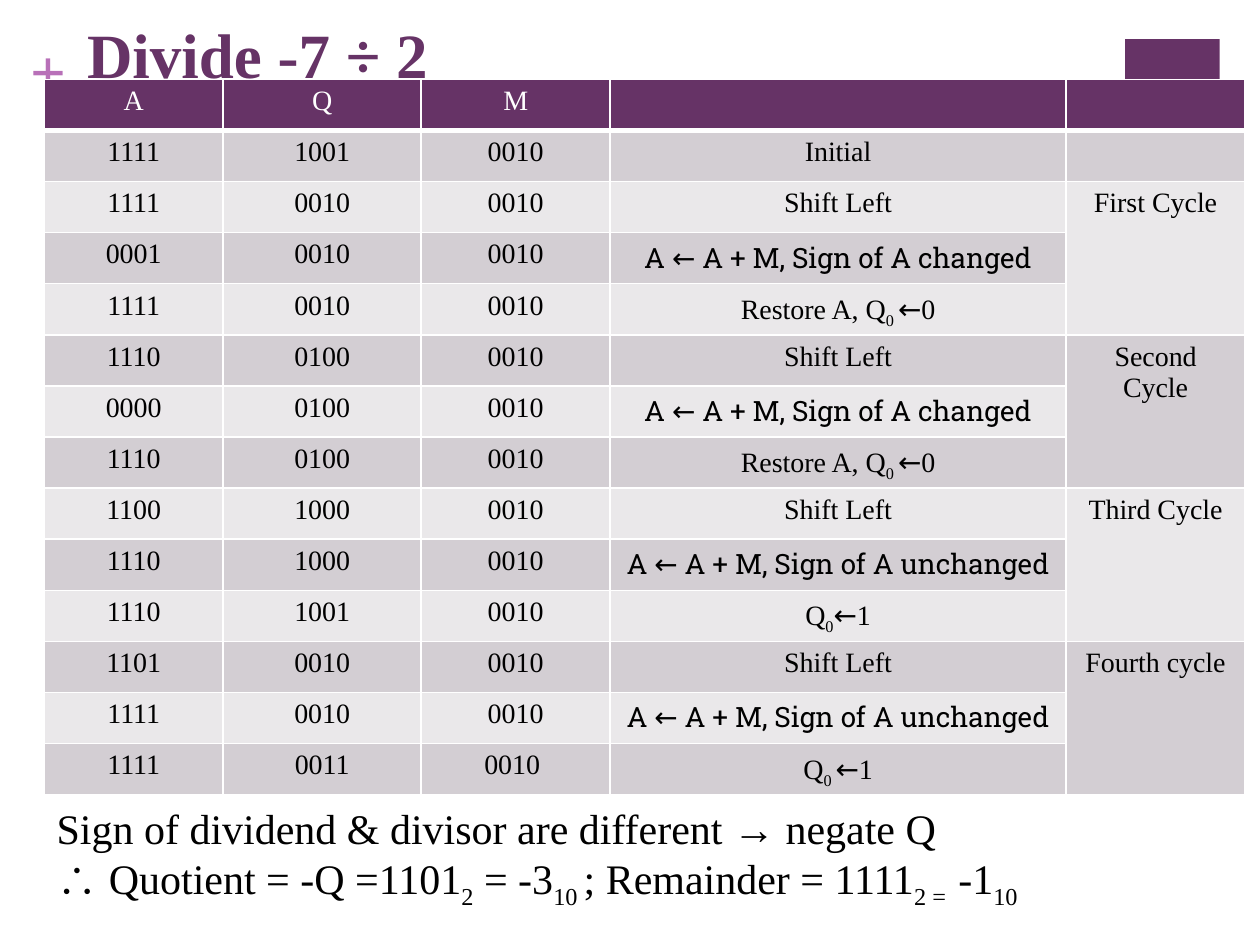
from dataclasses import dataclass

from lxml import etree
from pptx import Presentation
from pptx.dml.color import RGBColor
from pptx.enum import shapes, text
from pptx.oxml.ns import qn
from pptx.util import Cm, Pt

COLORS = {
    "plum": "663366",
    "orchid": "B870B8",
    "odd": "D3CED3",
    "even": "EAE8EA",
    "white": "FFFFFF",
    "black": "000000",
}
SERIF = "Times New Roman"
SLAB = "Roboto Slab"


@dataclass(frozen=True)
class Piece:
    text: str
    subscript: bool = False
    font: str = SERIF


@dataclass(frozen=True)
class Step:
    a: str
    q: str
    m: str
    action: tuple[Piece, ...]


@dataclass(frozen=True)
class Cycle:
    label: str
    steps: tuple[Step, ...]


def color(name: str) -> RGBColor:
    return RGBColor.from_string(COLORS[name])


def add_pieces(paragraph, pieces: tuple[Piece, ...], size: float, color_name: str, bold=False) -> None:
    for piece in pieces:
        run = paragraph.add_run()
        run.text = piece.text
        formats = {"name": piece.font, "size": Pt(size), "bold": bold}
        for attribute, value in formats.items():
            setattr(run.font, attribute, value)
        run.font.color.rgb = color(color_name)
        if piece.subscript:
            run._r.get_or_add_rPr().set("baseline", "-25000")


def format_frame(frame, **formats) -> None:
    for attribute, value in formats.items():
        setattr(frame, attribute, value)


def set_borders(cell, bottom_width: float) -> None:
    properties = cell._tc.get_or_add_tcPr()
    widths = {"lnL": 1, "lnR": 1, "lnT": 1, "lnB": bottom_width}
    for position, (tag, width) in enumerate(widths.items()):
        line = etree.Element(qn(f"a:{tag}"), w=str(Pt(width)))
        fill = etree.SubElement(line, qn("a:solidFill"))
        etree.SubElement(fill, qn("a:srgbClr"), val=COLORS["white"])
        properties.insert(position, line)


def fill_cell(cell, pieces: tuple[Piece, ...], fill: str, font_color: str = "black", bottom_width: float = 1) -> None:
    cell.fill.solid()
    cell.fill.fore_color.rgb = color(fill)
    set_borders(cell, bottom_width)
    paragraph = cell.text_frame.paragraphs[0]
    paragraph.alignment = text.PP_ALIGN.CENTER
    paragraph.font.size = Pt(16)
    add_pieces(paragraph, pieces, 16, font_color)


def plain(words: str) -> tuple[Piece, ...]:
    return (Piece(words),) if words else ()


def set_bit(before: str, index: str, bit: str) -> tuple[Piece, ...]:
    return Piece(before), Piece(index, subscript=True), Piece("←", font=SLAB), Piece(bit)


def add_m(result: str) -> tuple[Piece, ...]:
    return (Piece(f"A ← A + M, Sign of A {result}", font=SLAB),)


SHIFT = plain("Shift Left")
RESTORE = set_bit("Restore A, Q", "0 ", "0")
HEADERS = ("A", "Q", "M", "", "")
COLUMN_WIDTHS = (3.61, 3.99, 3.81, 9.19, 3.61)
CYCLES = (
    Cycle("", (Step("1111", "1001", "0010", plain("Initial")),)),
    Cycle("First Cycle", (
        Step("1111", "0010", "0010", SHIFT),
        Step("0001", "0010", "0010", add_m("changed")),
        Step("1111", "0010", "0010", RESTORE),
    )),
    Cycle("Second Cycle", (
        Step("1110", "0100", "0010", SHIFT),
        Step("0000", "0100", "0010", add_m("changed")),
        Step("1110", "0100", "0010", RESTORE),
    )),
    Cycle("Third Cycle", (
        Step("1100", "1000", "0010", SHIFT),
        Step("1110", "1000", "0010", add_m("unchanged")),
        Step("1110", "1001", "0010", set_bit("Q", "0", "1")),
    )),
    Cycle("Fourth cycle", (
        Step("1101", "0010", "0010", SHIFT),
        Step("1111", "0010", "0010", add_m("unchanged")),
        Step("1111", "0011", "0010 ", set_bit("Q", "0 ", "1")),
    )),
)
CONCLUSION = (
    plain("Sign of dividend & divisor are different → negate Q"),
    (
        Piece("∴ Quotient = -Q =1101"), Piece("2", True),
        Piece(" = -3"), Piece("10 ", True),
        Piece("; Remainder = 1111"), Piece("2 =  ", True),
        Piece("-1"), Piece("10", True),
    ),
)


def add_decoration(slide) -> None:
    block = slide.shapes.add_shape(shapes.MSO_SHAPE.RECTANGLE, Cm(22.68), Cm(0.79), Cm(1.91), Cm(5.23))
    block.shadow.inherit = False
    block.fill.solid()
    block.fill.fore_color.rgb = color("plum")
    block.line.fill.background()

    plus = slide.shapes.add_textbox(Cm(0.61), Cm(0.64), Cm(0.74), Cm(1.55)).text_frame
    format_frame(plus, margin_left=0, margin_top=0, margin_right=0, margin_bottom=0, word_wrap=False)
    add_pieces(plus.paragraphs[0], plain("+"), 36, "orchid", bold=True)


def add_title(slide) -> None:
    title = slide.shapes.title
    place = {"left": Cm(1.5), "top": Cm(0.05), "width": Cm(20.98), "height": Cm(3.1)}
    for attribute, value in place.items():
        setattr(title, attribute, value)
    format_frame(title.text_frame, vertical_anchor=text.MSO_ANCHOR.TOP, margin_top=Cm(0.27), word_wrap=True)
    paragraph = title.text_frame.paragraphs[0]
    paragraph.alignment = text.PP_ALIGN.LEFT
    add_pieces(paragraph, plain("Divide -7 ÷ 2"), 36, "plum", bold=True)


def add_division_table(slide) -> None:
    row_count = 1 + sum(len(cycle.steps) for cycle in CYCLES)
    frame = slide.shapes.add_table(
        row_count, len(HEADERS), Cm(0.89), Cm(1.6), Cm(sum(COLUMN_WIDTHS)), Cm(14.43))
    table = frame.table
    for column, width in zip(table.columns, COLUMN_WIDTHS):
        column.width = Cm(width)
    for index, header in enumerate(HEADERS):
        fill_cell(table.cell(0, index), plain(header), "plum", "white", bottom_width=3)

    row = 1
    for cycle in CYCLES:
        first_row = row
        for step in cycle.steps:
            label = cycle.label if row == first_row else ""
            contents = (plain(step.a), plain(step.q), plain(step.m), step.action, plain(label))
            for index, pieces in enumerate(contents):
                fill_cell(table.cell(row, index), pieces, "odd" if row % 2 else "even")
            row += 1
        if len(cycle.steps) > 1:
            table.cell(first_row, 4).merge(table.cell(row - 1, 4))


def add_conclusion(slide) -> None:
    frame = slide.shapes.add_textbox(Cm(0.89), Cm(16.05), Cm(23.7), Cm(2.31)).text_frame
    frame.word_wrap = True
    for index, pieces in enumerate(CONCLUSION):
        paragraph = frame.add_paragraph() if index else frame.paragraphs[0]
        add_pieces(paragraph, pieces, 24, "black")


def main() -> None:
    presentation = Presentation()
    presentation.slide_width, presentation.slide_height = Cm(25.4), Cm(19.05)
    slide = presentation.slides.add_slide(presentation.slide_layouts[5])
    add_decoration(slide)
    add_title(slide)
    add_division_table(slide)
    add_conclusion(slide)
    presentation.save("out.pptx")


if __name__ == "__main__":
    main()
